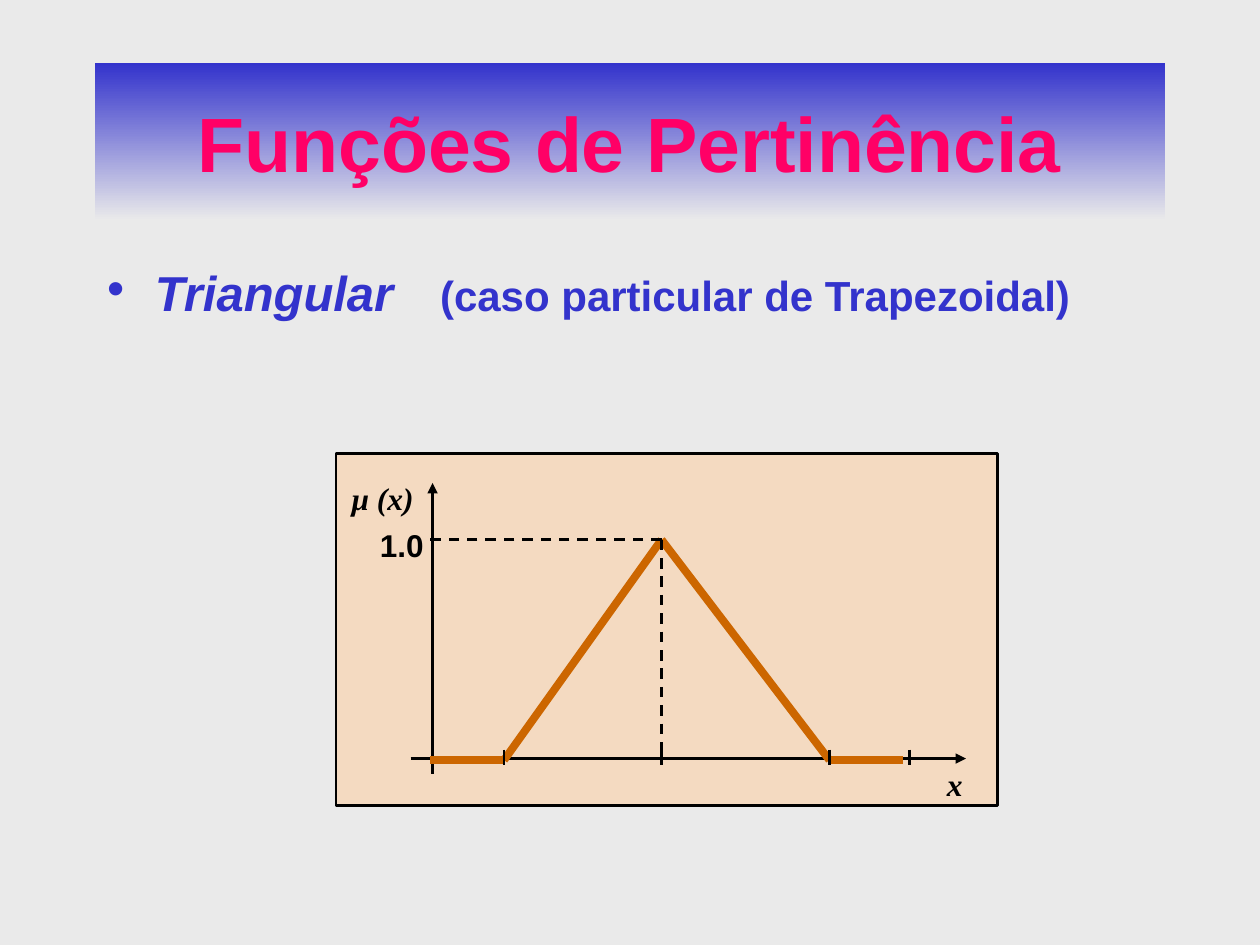
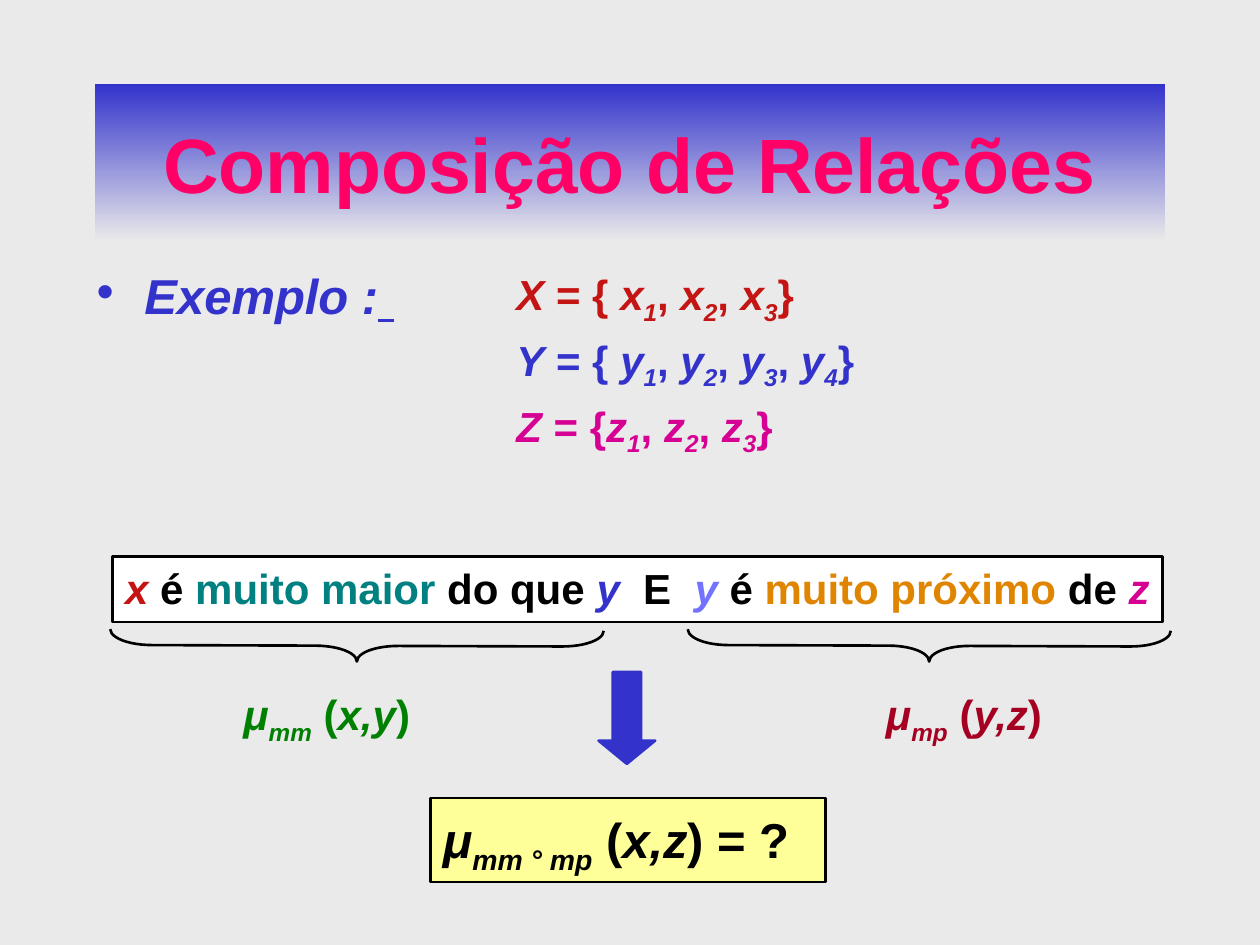
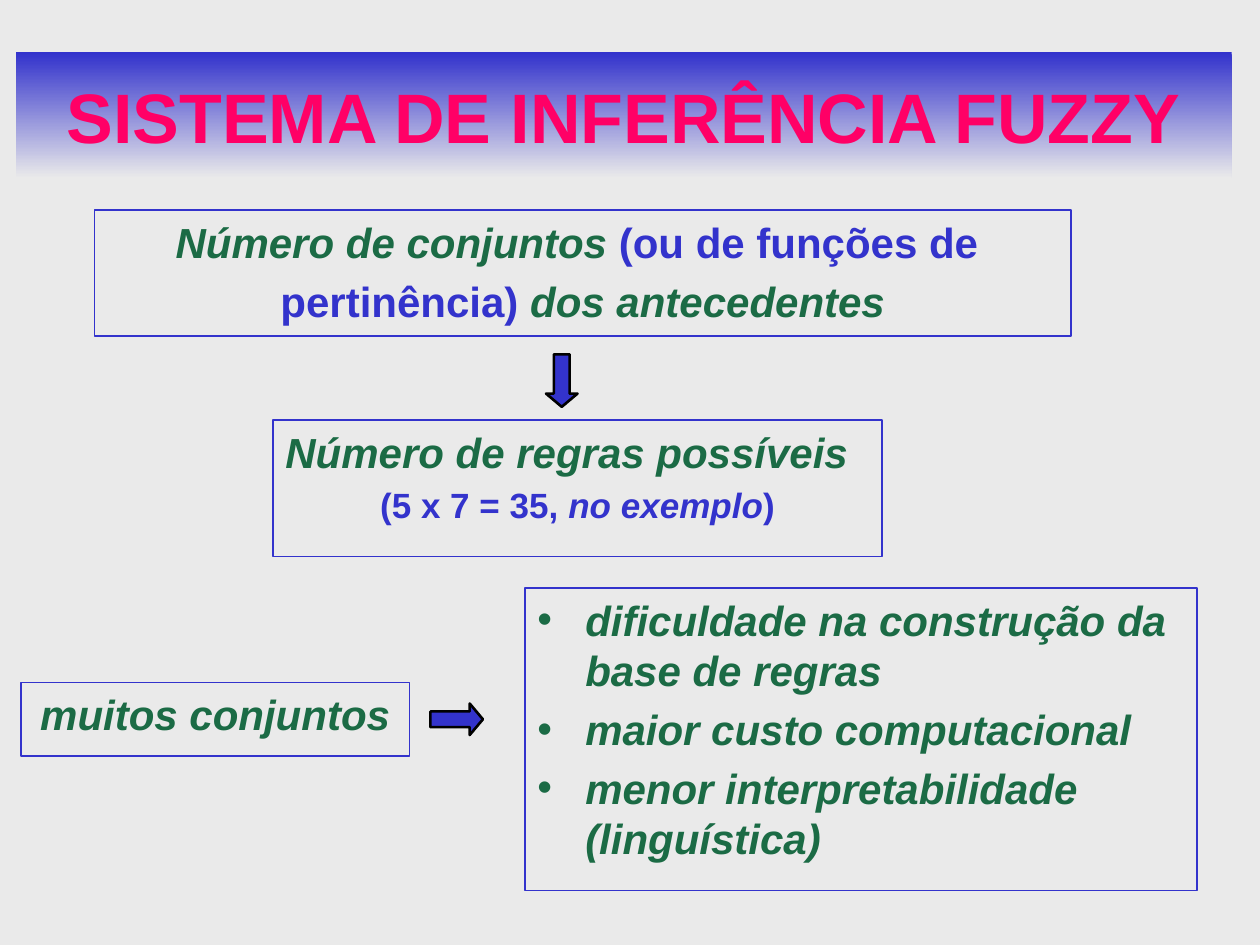
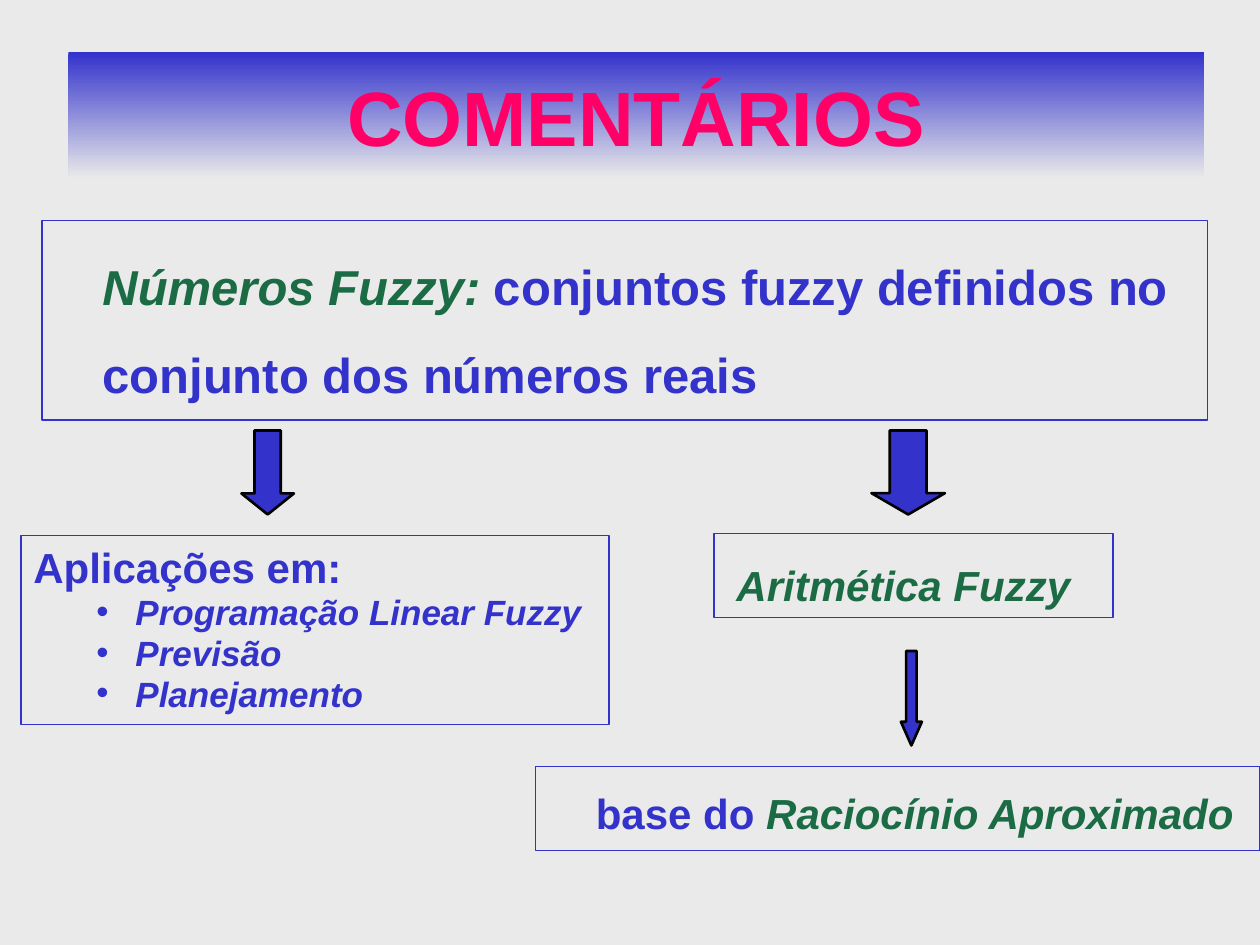
"""Build four slides on fuzzy sets, relations and inference."""
import lxml.etree
import pptx
import pptx.dml.color
import pptx.enum.dml
import pptx.enum.shapes
import pptx.enum.text
import pptx.oxml.ns
import pptx.util

BLUE, GREEN, PINK, BLACK = "3333CC", "1B6B45", "FF0066", "000000"
RED, MAGENTA, ORANGE, PAPER = "C41414", "D60093", "CC6600", "EAEAEA"
LEFT, CENTER = pptx.enum.text.PP_ALIGN.LEFT, pptx.enum.text.PP_ALIGN.CENTER
SHAPES = pptx.enum.shapes.MSO_SHAPE
qn = pptx.oxml.ns.qn

FONT = {"name": "Arial", "size": 24, "bold": True, "italic": True, "color": GREEN}
PLAIN, ITALIC, SUB = {"italic": False}, {"italic": True}, {"baseline": "-25000"}
BLUE_PLAIN = {"color": BLUE, "italic": False}
CENTERED = {"alignment": CENTER}
BULLET = {"margins": (0.38, -0.38), "bullet": "•"}
SUBBULLET = {"margins": (0.81, -0.31), "bullet": "•", "line_spacing": 0.8}
BAND = {"fill": (BLUE, PAPER), "anchor": pptx.enum.text.MSO_ANCHOR.MIDDLE}
PANEL = {"line": (BLUE, 0.75)}
LABEL = {"wrap": False}


def paint(fill, *codes):
    """Fill with one colour, or with a downward gradient between two."""
    colours = [pptx.dml.color.RGBColor.from_string(code) for code in codes]
    if len(colours) == 1:
        fill.solid()
        fill.fore_color.rgb = colours[0]
        return
    fill.gradient()
    fill.gradient_angle = 270
    for stop, colour in zip(fill.gradient_stops, colours):
        stop.color.rgb = colour


def write(frame, paragraphs):
    """Write paragraphs given as (layout, font, runs)."""
    for number, (layout, font, runs) in enumerate(paragraphs):
        paragraph = frame.add_paragraph() if number else frame.paragraphs[0]
        base = FONT | font
        paragraph.alignment = layout.get("alignment", LEFT)
        paragraph.line_spacing = layout.get("line_spacing", 1.0)
        paragraph.space_before = pptx.util.Pt(0.2 * base["size"])
        properties = paragraph._p.get_or_add_pPr()
        for key, inches in zip(("marL", "indent"), layout.get("margins", (0, 0))):
            properties.set(key, str(pptx.util.Inches(inches)))
        if "bullet" in layout:
            lxml.etree.SubElement(properties, qn("a:buFont")).set("typeface", "Arial")
            lxml.etree.SubElement(properties, qn("a:buChar")).set("char", layout["bullet"])
        else:
            lxml.etree.SubElement(properties, qn("a:buNone"))
        for text, change in runs:
            run = paragraph.add_run()
            run.text = text
            for key, value in (base | change).items():
                if key == "color":
                    paint(run.font.fill, value)
                elif key == "size":
                    run.font.size = pptx.util.Pt(value)
                elif key in ("baseline", "spc"):
                    run._r.get_or_add_rPr().set(key, value)
                else:
                    setattr(run.font, key, value)


deck = pptx.Presentation()
deck.slide_width, deck.slide_height = pptx.util.Inches(10), pptx.util.Inches(7.5)
CELL = deck.slide_width / 120
paint(deck.slide_master.background.fill, PAPER)
membership, composition, inference, comments = slides = [
    deck.slides.add_slide(deck.slide_layouts[1]) for _ in range(4)]

titles = [
    ("Funções de Pertinência", 44, (9, 6, 102, 15)),
    ("Composição de Relações", 44, (9, 8, 102, 15)),
    ("SISTEMA DE INFERÊNCIA FUZZY", 40, (1.5, 5, 115.8, 12)),
    ("COMENTÁRIOS", 44, (6.5, 5, 108.2, 12)),
]
boxes = [(slide, "title", area, BAND,
          [(CENTERED, {"size": size, "color": PINK, "italic": False}, [(title, {})])])
         for slide, (title, size, area) in zip(slides, titles)]

sets = []
for name, opening, colour, count in (
        ("X", " = { ", RED, 3), ("Y", " = { ", BLUE, 4), ("Z", " = {", MAGENTA, 3)):
    runs = [(name, {}), (opening, PLAIN)]
    for index in range(1, count + 1):
        runs += [(name.lower(), {}), (str(index), SUB),
                 (", " if index < count else "}", PLAIN)]
    sets.append(({}, {"color": colour}, runs))

sentence = [
    ("x", {"color": RED, "italic": True}), (" é ", {}),
    ("muito maior", {"color": "008080"}), (" do que ", {}),
    ("y  ", {"color": BLUE, "italic": True}), ("E  ", {}),
    ("y ", {"color": "7373FF", "italic": True}), ("é ", {}),
    ("muito próximo", {"color": "E08500"}), (" de ", {}),
    ("z", {"color": MAGENTA, "italic": True}),
]
relations = [
    ("mm", "x,y", ")", {"color": "008000"}, (22, 65, 18.7, 6), LABEL),
    ("mp", "y,z", ")", {"color": "A50021"}, (83.2, 65, 17.8, 6), LABEL),
    ("mm ° mp", "x,z", ") = ?", {"color": BLACK, "size": 28}, (41, 76, 37.6, 8),
     {"fill": ("FFFF99",), "line": (BLACK, 1.5), "inset": 0.09}),
]
boxes += [(composition, "label", area, style,
           [({}, font, [("μ", {}), (pair, SUB), (" (", PLAIN), (variables, {}),
                        (closing, PLAIN)])])
          for pair, variables, closing, font, area, style in relations]

axis_font = {"name": "Times New Roman", "size": 18, "color": BLACK}
boxes += [
    (membership, "body", (9, 25, 102, 12), {}, [
        (BULLET | {"line_spacing": 0.8}, {"size": 28, "color": BLUE},
         [("Triangular", {}), (" ", {"size": 32, "spc": "1780"}),
          ("(caso particular de Trapezoidal)", {"size": 24, "italic": False})])]),
    (membership, "label", (32, 43.2, 63, 33.5),
     {"fill": ("FFCC99",), "alpha": "50000", "line": (BLACK, 1.5)}, []),
    (membership, "label", (32.3, 45, 8.4, 4.8), LABEL, [({}, axis_font, [("μ (x)", {})])]),
    (membership, "label", (35, 49.5, 6.6, 4.8), LABEL,
     [({}, {"size": 18, "color": BLACK, "italic": False}, [("1.0", {})])]),
    (membership, "label", (89, 72.25, 3.8, 4.8), LABEL, [({}, axis_font, [("x", {})])]),
    (composition, "body", (8, 24, 32, 8), {}, [
        (BULLET, {"size": 28, "color": BLUE},
         [("Exemplo :", {}), (" ", {"size": 32, "underline": True})])]),
    (composition, "label", (48, 25, 48, 17.5), {}, sets),
    (composition, "label", (10.7, 53, 100, 6.25),
     {"fill": ("FFFFFF",), "line": (BLACK, 1.5), "wrap": False},
     [(CENTERED, {"color": BLACK, "italic": False}, sentence)]),
    (inference, "body", (9, 20, 93, 12), PANEL, [
        (CENTERED, {}, [("Número de conjuntos", {}), (" (ou de funções de ", BLUE_PLAIN)]),
        (CENTERED, {}, [("pertinência) ", BLUE_PLAIN), ("dos antecedentes", {})])]),
    (inference, "label", (26, 40, 58, 13), PANEL, [
        ({}, {}, [("Número de regras possíveis", {})]),
        (CENTERED, {"size": 20, "color": BLUE, "italic": False},
         [("(5 x 7 = 35, ", {}), ("no exemplo", ITALIC), (")", {})])]),
    (inference, "label", (2, 65, 37, 7), PANEL,
     [(CENTERED, {}, [("muitos conjuntos", {})])]),
    (inference, "label", (50, 56, 64, 28.8), PANEL, [
        (BULLET, {}, [(drawback, {})]) for drawback in (
            "dificuldade na construção da base de regras",
            "maior custo computacional",
            "menor interpretabilidade (linguística)")]),
    (comments, "body", (4, 21, 111, 19), PANEL, [
        ({"margins": (0.38, 0), "line_spacing": 1.5}, {"size": 28},
         [("Números Fuzzy:", {}),
          (" conjuntos fuzzy definidos no conjunto dos números reais", BLUE_PLAIN)])]),
    (comments, "label", (68, 50.8, 38, 8), PANEL,
     [({"line_spacing": 1.4}, {}, [(" Aritmética Fuzzy", {})])]),
    (comments, "label", (51, 73, 69, 8), PANEL, [
        ({"margins": (0.38, 0), "line_spacing": 1.3}, {},
         [("base do ", BLUE_PLAIN), ("Raciocínio Aproximado", {})])]),
    (comments, "label", (2, 51, 56, 18), PANEL,
     [({}, {"color": BLUE, "italic": False}, [("Aplicações em:", {})])]
     + [(SUBBULLET, {"size": 20, "color": BLUE}, [(use, {})])
        for use in ("Programação Linear Fuzzy", "Previsão", "Planejamento")]),
]

for slide, role, area, style, paragraphs in boxes:
    place = [round(cells * CELL) for cells in area]
    if role == "title":
        box = slide.shapes.title
    elif role == "body":
        box = slide.placeholders[1]
    elif "line" in style:
        box = slide.shapes.add_shape(SHAPES.RECTANGLE, *place)
        box.shadow.inherit = False
        box.fill.background()
    else:
        box = slide.shapes.add_textbox(*place)
    for edge, length in zip(("left", "top", "width", "height"), place):
        setattr(box, edge, length)
    if "fill" in style:
        paint(box.fill, *style["fill"])
    if "alpha" in style:
        tint = box._element.spPr.find(qn("a:solidFill"))[0]
        lxml.etree.SubElement(tint, qn("a:alpha")).set("val", style["alpha"])
    if "line" in style:
        colour, width = style["line"]
        paint(box.line.fill, colour)
        box.line.width = pptx.util.Pt(width)
    inset = pptx.util.Inches(style.get("inset", 0.05))
    frame_format = {
        "word_wrap": style.get("wrap", True),
        "auto_size": pptx.enum.text.MSO_AUTO_SIZE.NONE,
        "vertical_anchor": style.get("anchor", pptx.enum.text.MSO_ANCHOR.TOP),
        "margin_top": inset,
        "margin_bottom": inset,
    }
    for key, value in frame_format.items():
        setattr(box.text_frame, key, value)
    write(box.text_frame, paragraphs)

base_row, axis_row, peak_row = 72.4, 72.25, 51.4
curve = [(41, base_row), (48, base_row), (63, peak_row), (79, base_row), (86, base_row)]
peak = curve[2]
strokes = [((41.2, 73.7), (41.2, 46), BLACK, 1.5, "arrow"),
           ((39.1, axis_row), (92, axis_row), BLACK, 1.5, "arrow")]
strokes += [(start, end, ORANGE, 4.5, "solid") for start, end in zip(curve, curve[1:])]
strokes += [((column, 71.4), (column, 72.9), BLACK, 1.5, "solid")
            for column in (48, 63, 79, 86.6)]
strokes += [(peak, end, BLACK, 1.5, "dash") for end in ((63, base_row), (41, peak_row))]
for start, end, colour, width, ending in strokes:
    stroke = membership.shapes.add_connector(
        pptx.enum.shapes.MSO_CONNECTOR.STRAIGHT,
        *(round(cells * CELL) for cells in start + end))
    paint(stroke.line.fill, colour)
    stroke.line.width = pptx.util.Pt(width)
    if ending == "dash":
        stroke.line.dash_style = pptx.enum.dml.MSO_LINE.DASH
    if ending == "arrow":
        head = lxml.etree.SubElement(stroke.line._get_or_add_ln(), qn("a:tailEnd"))
        head.set("type", "triangle")
    lxml.etree.SubElement(stroke._element.spPr, qn("a:effectLst"))

symbols = [
    (composition, SHAPES.LEFT_BRACE, (32.5, 38, 3, 47), 270.2, (1.32, 0.5), None, BLACK),
    (composition, SHAPES.LEFT_BRACE, (87, 38.5, 3, 46), 270.2, (1.28, 0.5), None, BLACK),
    (composition, SHAPES.DOWN_ARROW, (57, 64, 5.4, 8.75), 0, (0.5, 0.41), BLUE, BLUE),
]
symbols += [(slide, SHAPES.DOWN_ARROW, area, turn, (0.5, tip), BLUE, BLACK)
            for slide, area, turn, tip in (
                (inference, (52, 33.75, 3, 5), 0, 0.42),
                (inference, (42, 66, 3, 5), 270, 0.42),
                (comments, (83, 41, 7, 8), 0, 0.29),
                (comments, (23, 41, 5, 8), 0, 0.4),
                (comments, (85.8, 62, 2, 9), 0, 1.13))]
for slide, kind, area, turn, proportions, inside, outline in symbols:
    symbol = slide.shapes.add_shape(kind, *(round(cells * CELL) for cells in area))
    symbol.shadow.inherit = False
    symbol.rotation = turn
    for index, proportion in enumerate(proportions):
        symbol.adjustments[index] = proportion
    if inside:
        paint(symbol.fill, inside)
    else:
        symbol.fill.background()
    paint(symbol.line.fill, outline)
    symbol.line.width = pptx.util.Pt(1.5)

deck.save("out.pptx")
